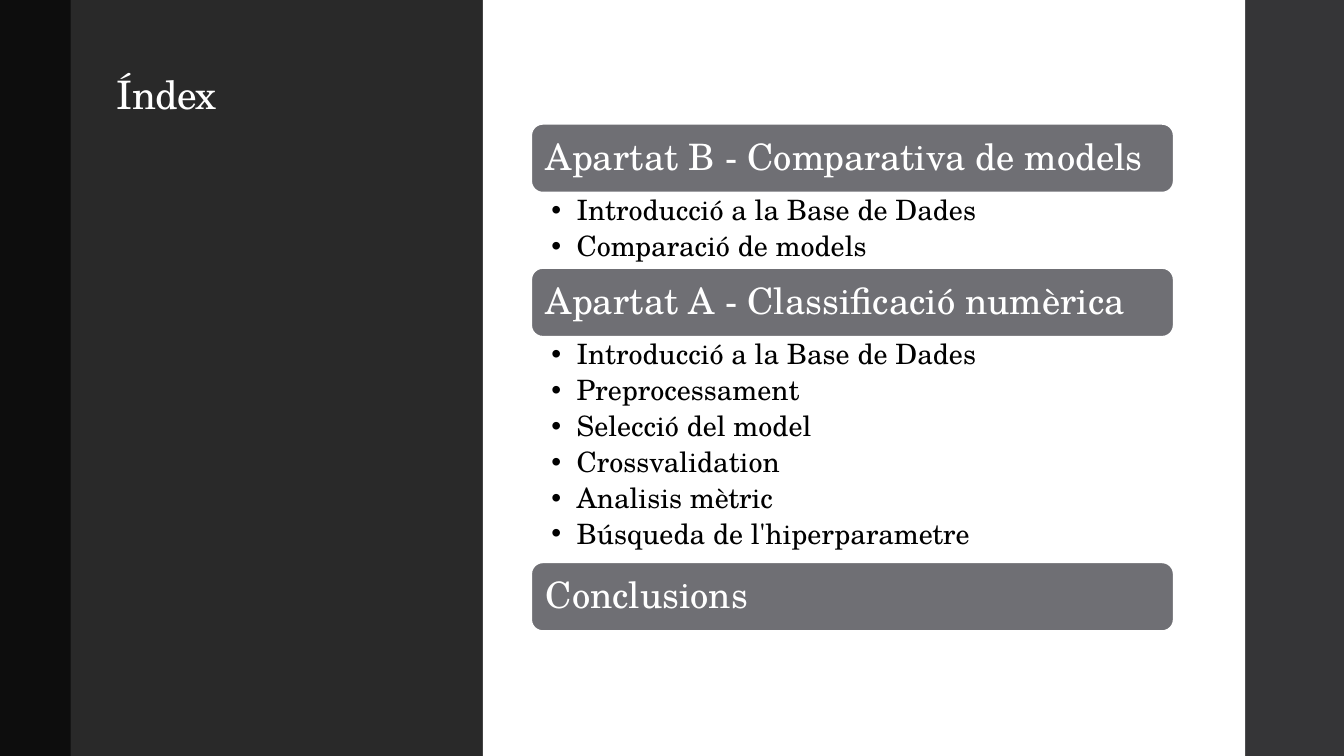
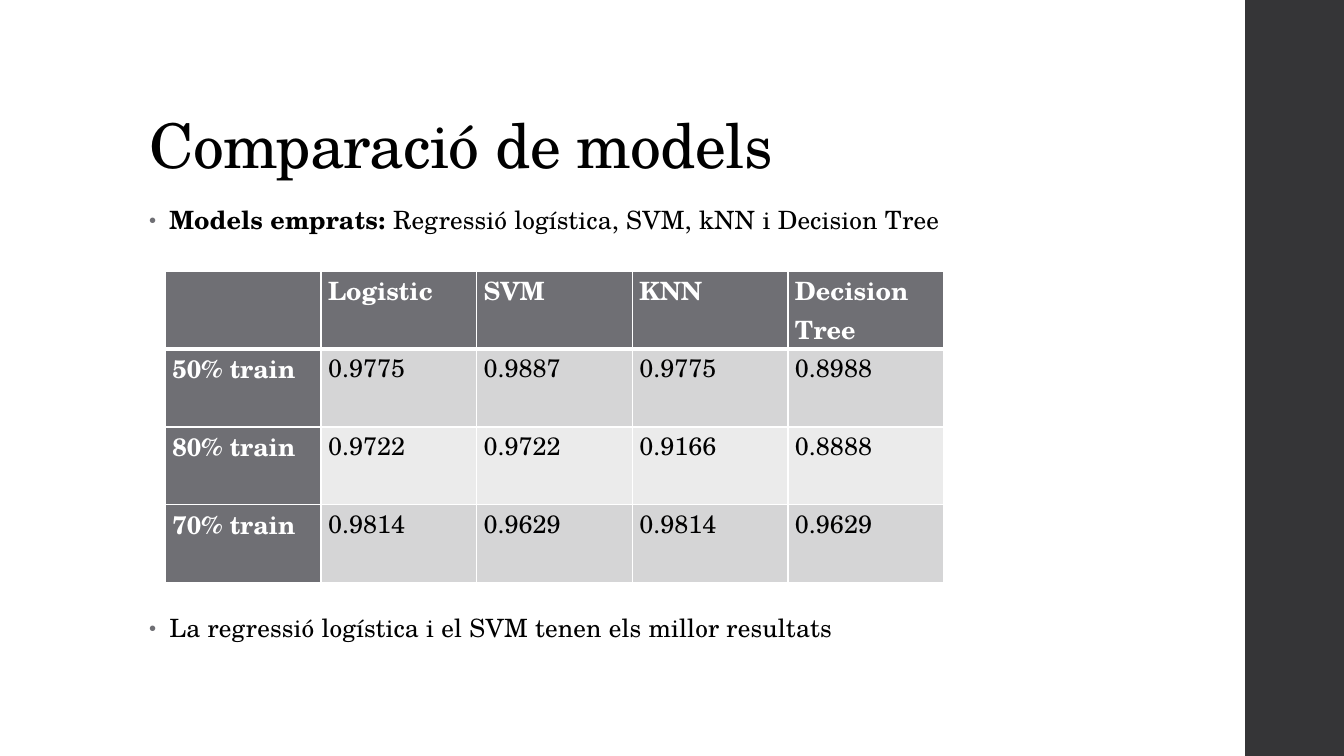
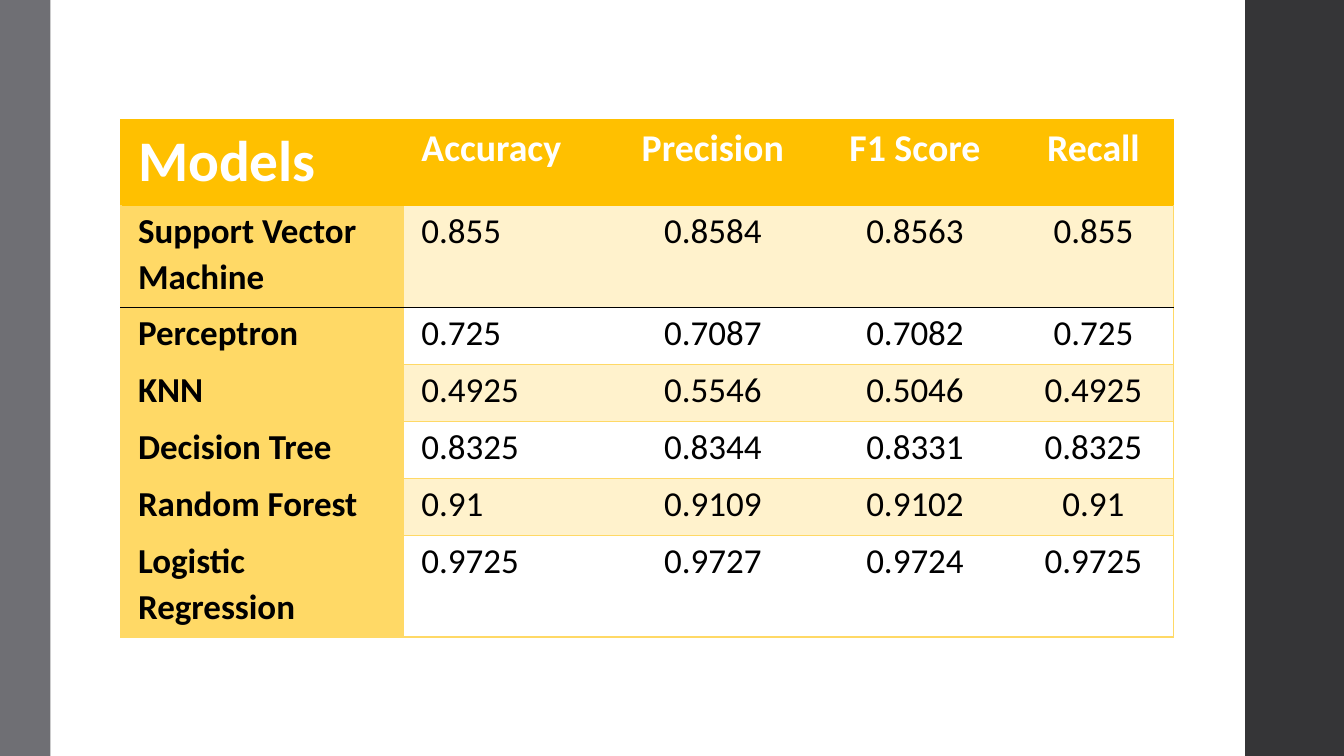
import pptx
import pptx.dml.color
import pptx.enum.shapes
import pptx.enum.text
import pptx.oxml.ns
import pptx.util
from lxml import etree

Inches = pptx.util.Inches
Pt = pptx.util.Pt
MSO_SHAPE = pptx.enum.shapes.MSO_SHAPE
ANCHOR = pptx.enum.text.MSO_ANCHOR
ALIGN = pptx.enum.text.PP_ALIGN

SCHOOL = "TeX Gyre Schola"
COLORS = {
    "white": "FFFFFF", "black": "000000", "band": "353537", "edge": "0D0D0D",
    "panel": "292929", "gray": "6F6F74", "gray_mid": "D5D5D6",
    "gray_light": "EBEBEB", "gold": "FFC000", "gold_mid": "FFD966",
    "gold_light": "FFF2CC",
}
PLAIN_TABLE = "{2D5ABB26-0587-4C30-8999-92F81FD0307C}"
HEADING_FORMAT = {"line_spacing": 0.9, "alignment": ALIGN.LEFT}
BULLET_FORMAT = {"line_spacing": 0.95, "space_after": Pt(2)}
TOPIC_FORMAT = {"line_spacing": 0.9, "space_after": Pt(4)}
METRIC_FORMAT = {"line_spacing": 1.07, "space_after": Pt(8)}

INDEX = [
    ("Apartat B - Comparativa de models", 0.75,
     ["Introducció a la Base de Dades", "Comparació de models"]),
    ("Apartat A - Classificació numèrica", 2.24,
     ["Introducció a la Base de Dades", "Preprocessament",
      "Selecció del model", "Crossvalidation", "Analisis mètric",
      "Búsqueda de l'hiperparametre"]),
    ("Conclusions", 0, []),
]
SPLITS = [
    ["", "Logistic", "SVM", "KNN", "Decision Tree"],
    ["50% train", "0.9775", "0.9887", "0.9775", "0.8988"],
    ["80% train", "0.9722", "0.9722", "0.9166", "0.8888"],
    ["70% train", "0.9814", "0.9629", "0.9814", "0.9629"],
]
METRICS = [
    ["Models", "Accuracy", "Precision", "F1 Score", "Recall"],
    ["Support Vector Machine", "0.855", "0.8584", "0.8563", "0.855"],
    ["Perceptron", "0.725", "0.7087", "0.7082", "0.725"],
    ["KNN", "0.4925", "0.5546", "0.5046", "0.4925"],
    ["Decision Tree", "0.8325", "0.8344", "0.8331", "0.8325"],
    ["Random Forest", "0.91", "0.9109", "0.9102", "0.91"],
    ["Logistic Regression", "0.9725", "0.9727", "0.9724", "0.9725"],
]


def rgb(color):
    """Return the colour object for a palette name."""
    return pptx.dml.color.RGBColor.from_string(COLORS[color])


def assign(target, values):
    """Set every attribute of the target from a dict."""
    for name, value in values.items():
        setattr(target, name, value)


def place(target, left, top, width, height):
    """Move and size a shape, in inches."""
    sides = {"left": left, "top": top, "width": width, "height": height}
    assign(target, {side: Inches(size) for side, size in sides.items()})


def set_frame(frame, left, top, right, bottom, anchor=ANCHOR.TOP):
    """Set insets in inches, wrapping and anchor of a text frame."""
    assign(frame, {
        "margin_left": Inches(left), "margin_top": Inches(top),
        "margin_right": Inches(right), "margin_bottom": Inches(bottom),
        "word_wrap": True, "auto_size": pptx.enum.text.MSO_AUTO_SIZE.NONE,
        "vertical_anchor": anchor,
    })


def add_run(paragraph, text, size, color, bold=False, font=SCHOOL, spacing=0):
    """Add a formatted run, with letter spacing in points."""
    run = paragraph.add_run()
    run.text = text
    assign(run.font, {"name": font, "size": Pt(size), "bold": bold})
    run.font.color.rgb = rgb(color)
    if spacing:
        run.font._element.set("spc", str(round(spacing * 100)))


def sub(parent, tag, **attributes):
    """Append a DrawingML element."""
    return etree.SubElement(parent, pptx.oxml.ns.qn(tag), attributes)


def add_bullet(paragraph, indent, color, percent=100):
    """Give a paragraph a hanging bullet, indented in inches."""
    properties = paragraph._p.get_or_add_pPr()
    properties.set("marL", str(Inches(indent)))
    properties.set("indent", str(-Inches(indent)))
    sub(sub(properties, "a:buClr"), "a:srgbClr", val=COLORS[color])
    sub(properties, "a:buSzPct", val=str(percent * 1000))
    sub(properties, "a:buFont", typeface="Arial")
    sub(properties, "a:buChar", char="•")


def next_paragraph(frame, index):
    """Return the first paragraph or a new one."""
    return frame.add_paragraph() if index else frame.paragraphs[0]


def add_block(slide, box, fill, kind=MSO_SHAPE.RECTANGLE):
    """Add a flat filled shape without outline."""
    block = slide.shapes.add_shape(kind, *map(Inches, box))
    block.shadow.inherit = False
    block.fill.solid()
    block.fill.fore_color.rgb = rgb(fill)
    block.line.fill.background()
    return block


def add_slide(deck, layout):
    """Add a slide with the shared right band."""
    slide = deck.slides.add_slide(deck.slide_layouts[layout])
    add_block(slide, (12.35, 0, 0.98, 7.5), "band")
    return slide


def set_title(slide, text, box, size, color, anchor):
    """Fill the title placeholder and bring it to the front."""
    title = slide.shapes.title
    place(title, *box)
    set_frame(title.text_frame, 0.1, 0.05, 0.1, 0.05, anchor)
    paragraph = title.text_frame.paragraphs[0]
    assign(paragraph, HEADING_FORMAT)
    add_run(paragraph, text, size, color, spacing=-0.5)
    slide.shapes.element.append(title.element)


def add_heading(slide, text, box):
    """Add a rounded section heading."""
    heading = add_block(slide, box, "gray", MSO_SHAPE.ROUNDED_RECTANGLE)
    heading.line.color.rgb = rgb("white")
    heading.line.width = Pt(1.1)
    set_frame(heading.text_frame, 0.11, 0.1, 0.11, 0.1, ANCHOR.MIDDLE)
    paragraph = heading.text_frame.paragraphs[0]
    assign(paragraph, HEADING_FORMAT)
    add_run(paragraph, text, 26, "white")


def add_topics(slide, topics, box):
    """Add the bulleted topics of a section."""
    frame = slide.shapes.add_textbox(*map(Inches, box)).text_frame
    set_frame(frame, 0.2, 0.04, 0.2, 0.04)
    for index, topic in enumerate(topics):
        paragraph = next_paragraph(frame, index)
        add_bullet(paragraph, 0.25, "black")
        assign(paragraph, TOPIC_FORMAT)
        add_run(paragraph, topic, 20, "black")


def set_borders(cell, borders):
    """Draw cell borders from a dict of side to (colour, points)."""
    properties = cell._tc.get_or_add_tcPr()
    for side in "LRTB":
        if side in borders:
            color, width = borders[side]
            line = sub(properties, f"a:ln{side}", w=str(Pt(width)))
            sub(sub(line, "a:solidFill"), "a:srgbClr", val=COLORS[color])


def add_grid(slide, corner, widths, heights, rows, style_cell):
    """Add a table and style each cell with the given function."""
    box = (*corner, sum(widths), sum(heights))
    table = slide.shapes.add_table(
        len(rows), len(widths), *map(Inches, box)).table
    table._tbl.tblPr.find(pptx.oxml.ns.qn("a:tableStyleId")).text = PLAIN_TABLE
    for column, width in zip(table.columns, widths):
        column.width = Inches(width)
    for row, height in zip(table.rows, heights):
        row.height = Inches(height)
    for r, values in enumerate(rows):
        for c, value in enumerate(values):
            style_cell(table.cell(r, c), r, c, value)


def fill_cell(cell, fill, insets):
    """Set the fill and the insets (left and right, top) of a cell."""
    if fill:
        cell.fill.solid()
        cell.fill.fore_color.rgb = rgb(fill)
    else:
        cell.fill.background()
    side, top = map(Inches, insets)
    assign(cell, {"margin_left": side, "margin_right": side,
                  "margin_top": top, "margin_bottom": 0})


def style_split(cell, r, c, value):
    """Style a cell of the train split table."""
    heading = r == 0 or c == 0
    borders = {side: ("white", 1) for side in "LRTB"}
    if r < 2:
        borders["T" if r else "B"] = ("white", 3)
    set_borders(cell, borders)
    banding = "gray_mid" if r % 2 else "gray_light"
    fill_cell(cell, "gray" if heading else banding, (0.07, 0))
    if value:
        add_run(cell.text_frame.paragraphs[0], value, 18,
                "white" if heading else "black", heading)


def style_metric(cell, r, c, value):
    """Style a cell of the metrics table."""
    edge = "gold" if r == 0 else "gold_mid"
    top = {1: "gold", 2: "black"}.get(r, edge)
    bottom = "black" if r == 1 else edge
    borders = {"T": (top, 1), "B": (bottom, 1)}
    if c in (0, 4):
        borders["R" if c else "L"] = (edge, 1)
    set_borders(cell, borders)
    banding = "gold_light" if r % 2 else None
    body = banding if c else "gold_mid"
    fill_cell(cell, body if r else "gold", (0.17, 0.02))
    paragraph = cell.text_frame.paragraphs[0]
    assign(paragraph, METRIC_FORMAT)
    paragraph.alignment = ALIGN.CENTER if c > 1 else ALIGN.LEFT
    heading_size = 27 if c else 41
    add_run(paragraph, value, 25 if r else heading_size,
            "black" if r else "white", r == 0 or c == 0, "Calibri")


def build_index(deck):
    """Build the index slide."""
    slide = add_slide(deck, 5)
    add_block(slide, (0, 0, 0.71, 7.5), "edge")
    add_block(slide, (0.7, 0, 4.09, 7.5), "panel")
    add_block(slide, (4.79, 0, 7.56, 7.5), "white")
    set_title(slide, "Índex", (1.06, 0.7, 3.38, 6.05), 28, "white", ANCHOR.TOP)
    left, top, width, heading_height = 5.27, 1.23, 6.37, 0.68
    for heading, topics_height, topics in INDEX:
        add_heading(slide, heading, (left, top, width, heading_height))
        top += heading_height
        if topics:
            add_topics(slide, topics, (left, top, width, topics_height))
            top += topics_height


def build_comparison(deck):
    """Build the model comparison slide."""
    slide = add_slide(deck, 1)
    set_title(slide, "Comparació de models", (1.38, 0.4, 10.6, 1.45), 44,
              "black", ANCHOR.BOTTOM)
    body = slide.placeholders[1]
    place(body, 1.38, 2, 9.4, 4.76)
    set_frame(body.text_frame, 0.1, 0.05, 0.1, 0.05)
    points = [
        [("Models emprats: ", True),
         ("Regressió logística, SVM, kNN i Decision Tree", False)],
        [("La regressió logística i el SVM tenen els millor resultats", False)],
    ]
    for index, parts in enumerate(points):
        paragraph = next_paragraph(body.text_frame, index)
        add_bullet(paragraph, 0.2, "gray", 80)
        assign(paragraph, BULLET_FORMAT)
        paragraph.space_before = Pt(269 * index)
        for text, bold in parts:
            add_run(paragraph, text, 18, "black", bold, spacing=0.1)
    add_grid(slide, (1.64, 2.69), [7.72 / 5] * 5, [3.09 / 4] * 4, SPLITS,
             style_split)


def build_metrics(deck):
    """Build the metrics slide."""
    slide = add_slide(deck, 6)
    add_block(slide, (0, 0, 0.5, 7.5), "gray")
    header, double = 0.85, 1.01
    single = (5.13 - header - 2 * double) / 4
    add_grid(slide, (1.2, 1.19), [2.81, 2.03, 2.06, 1.95, 1.59],
             [header, double] + [single] * 4 + [double], METRICS, style_metric)


def main():
    """Build and save the presentation."""
    deck = pptx.Presentation()
    assign(deck, {"slide_width": Inches(13.33), "slide_height": Inches(7.5)})
    build_index(deck)
    build_comparison(deck)
    build_metrics(deck)
    deck.save("out.pptx")


if __name__ == "__main__":
    main()
